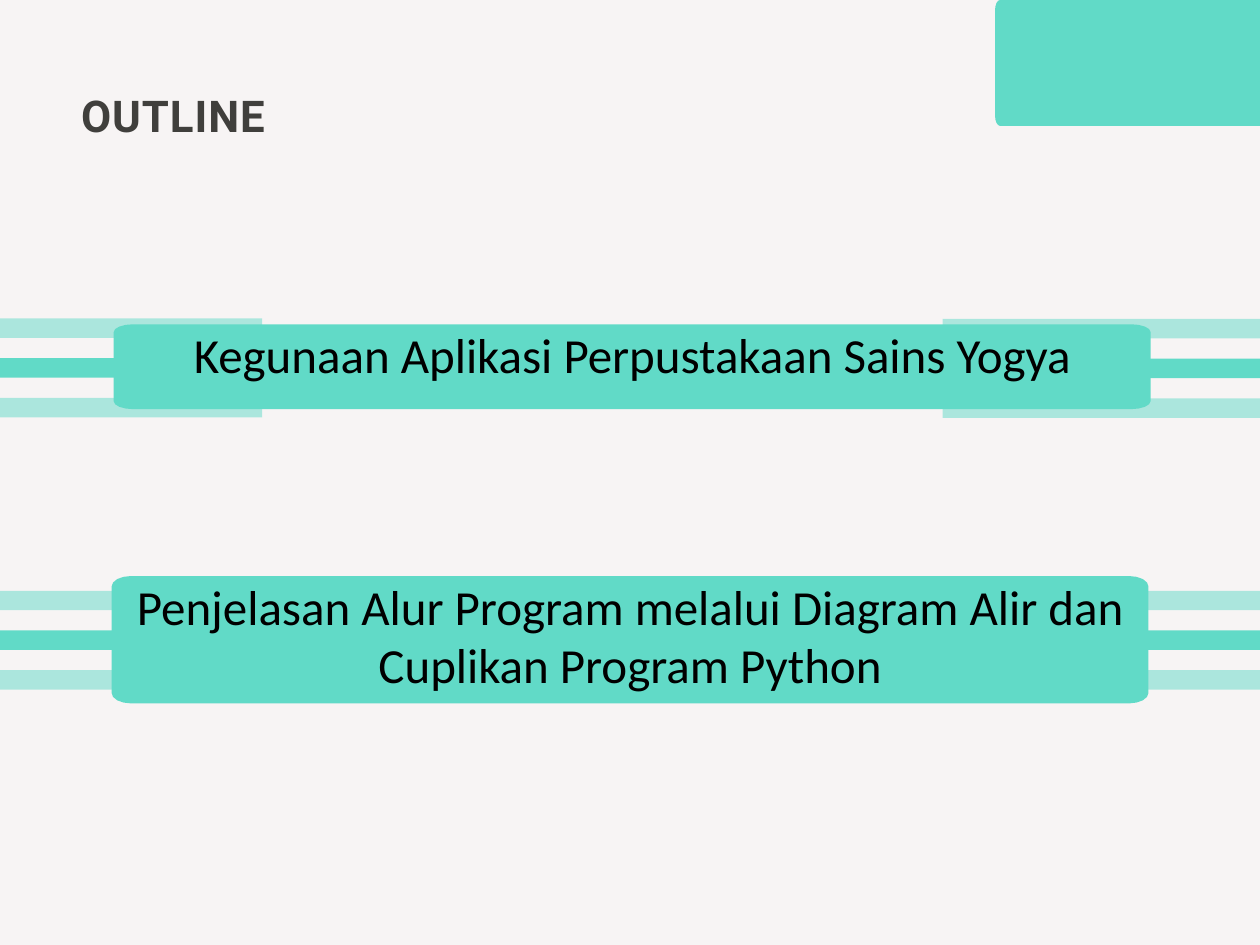
import math

import pptx
import pptx.dml.color
import pptx.enum.shapes
import pptx.enum.text
import pptx.oxml
import pptx.oxml.ns
import pptx.util

Pt = pptx.util.Pt
RGBColor = pptx.dml.color.RGBColor

BACKGROUND = RGBColor(0xF7, 0xF4, 0xF4)
TEAL = RGBColor(0x61, 0xDA, 0xC7)
TITLE_COLOR = RGBColor(0x40, 0x3F, 0x3C)
BLACK = RGBColor(0, 0, 0)

SLIDE_WIDTH, SLIDE_HEIGHT = 720, 540
STRIPE_HEIGHT, STRIPE_PITCH = 11.1, 22.7
STRIPE_OPACITY = (50, 100, 50)

TITLE = "OUTLINE"
# Each group of three stripes: left, top, width
STRIPE_GROUPS = [
    (0, 337.6, 174),
    (521.3, 337.6, SLIDE_WIDTH - 521.3),
    (0, 182, 149.8),
    (538.6, 182.3, SLIDE_WIDTH - 538.6),
]
# Rounded panels: text, (left, top, width, height), (corner width, corner height)
PANELS = [
    ("", (568.6, 0, 154.3, 72), (2.9, 6)),
    ("Penjelasan Alur Program melalui Diagram Alir dan Cuplikan Program Python",
     (63.8, 329.2, 592.5, 72.8), (11.1, 6)),
    ("Kegunaan Aplikasi Perpustakaan Sains Yogya",
     (65, 185.3, 592.5, 48.5), (11.1, 4.5)),
]


def paint(shape, opacity=100):
    shape.shadow.inherit = False
    shape.line.fill.background()
    shape.fill.solid()
    shape.fill.fore_color.rgb = TEAL
    if opacity < 100:
        color = shape.fill._xPr.find(".//" + pptx.oxml.ns.qn("a:srgbClr"))
        alpha = color.makeelement(pptx.oxml.ns.qn("a:alpha"), {"val": str(opacity * 1000)})
        color.append(alpha)


def set_text(shape, text, font_name, size, color, bold=False):
    text_frame = shape.text_frame
    text_frame.word_wrap = True
    text_frame.vertical_anchor = pptx.enum.text.MSO_ANCHOR.TOP
    text_frame.margin_left = text_frame.margin_right = 0
    text_frame.margin_top = text_frame.margin_bottom = 0
    text_frame.text = text
    paragraph = text_frame.paragraphs[0]
    font = paragraph.runs[0].font
    font.name, font.size, font.bold = font_name, Pt(size), bold
    font.color.rgb = color
    return paragraph


def add_panel(slide, box, corner):
    left, top, width, height = box
    radius_x, radius_y = corner
    right, bottom = left + width - radius_x, top + height - radius_y
    centers = [(right, bottom), (left + radius_x, bottom),
               (left + radius_x, top + radius_y), (right, top + radius_y)]
    points = []
    for quarter, (center_x, center_y) in enumerate(centers):
        for step in range(5):
            angle = math.radians(90 * quarter + 22.5 * step)
            points.append((Pt(center_x + radius_x * math.cos(angle)),
                           Pt(center_y + radius_y * math.sin(angle))))
    builder = slide.shapes.build_freeform(*points[0])
    builder.add_line_segments(points[1:], close=True)
    return builder.convert_to_shape()


def main():
    presentation = pptx.Presentation()
    presentation.slide_width = Pt(SLIDE_WIDTH)
    presentation.slide_height = Pt(SLIDE_HEIGHT)
    slide = presentation.slides.add_slide(presentation.slide_layouts[6])
    slide.background.fill.solid()
    slide.background.fill.fore_color.rgb = BACKGROUND

    # Side stripes
    for left, top, width in STRIPE_GROUPS:
        for index, opacity in enumerate(STRIPE_OPACITY):
            stripe = slide.shapes.add_shape(
                pptx.enum.shapes.MSO_SHAPE.RECTANGLE, Pt(left),
                Pt(top + index * STRIPE_PITCH), Pt(width), Pt(STRIPE_HEIGHT))
            paint(stripe, opacity)

    # Title
    title = slide.shapes.add_textbox(Pt(45.4), Pt(50), Pt(384), Pt(31))
    paragraph = set_text(title, TITLE, "Roboto", 25, TITLE_COLOR, bold=True)
    title.text_frame.margin_left = title.text_frame.margin_top = Pt(0.9)
    paragraph.runs[0].font._element.set("spc", "60")

    # Corner card and outline panels
    for text, box, corner in PANELS:
        panel = add_panel(slide, box, corner)
        paint(panel)
        if text:
            paragraph = set_text(panel, text, "Calibri", 28, BLACK)
            paragraph.alignment = pptx.enum.text.PP_ALIGN.CENTER

    presentation.save("out.pptx")


if __name__ == "__main__":
    main()
